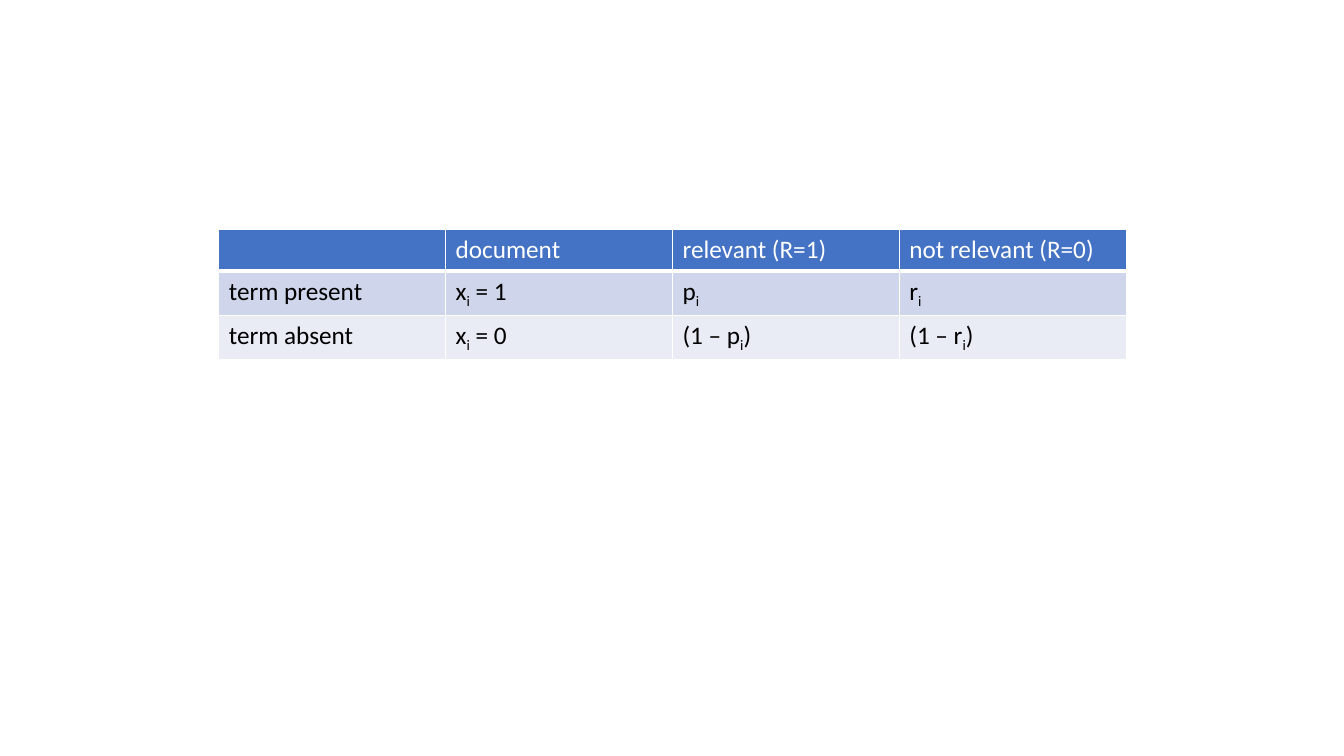
from lxml.etree import SubElement
from pptx import Presentation
from pptx.dml.color import RGBColor
from pptx.oxml.ns import qn
from pptx.util import Inches, Pt

COLORS = {
    "header": "4472C4",
    "odd_row": "CFD5EA",
    "even_row": "E9EBF5",
    "border": "FFFFFF",
    "header_text": "FFFFFF",
    "body_text": "000000",
}

# Text between a pair of underscores is a subscript.
TERM_ROWS = [
    ["", "document", "relevant (R=1)", "not relevant (R=0)"],
    ["term present", "x_i_ = 1", "p_i_", "r_i_"],
    ["term absent", "x_i_ = 0", "(1 – p_i_)", "(1 – r_i_)"],
]


def write_text(paragraph, text, font="Calibri", size=18, color="body_text"):
    """Write text, lowering the parts enclosed in underscores."""
    for index, part in enumerate(text.split("_")):
        if not part:
            continue
        run = paragraph.add_run()
        run.text = part
        run.font.name = font
        run.font.size = Pt(size)
        run.font.bold = False
        run.font.color.rgb = RGBColor.from_string(COLORS[color])
        if index % 2:
            run.font._element.set("baseline", "-25000")


class SlideBuilder:
    def __init__(self, slide):
        self.slide = slide

    def add_table(self, rows, left, top, column_width, row_height):
        column_count = len(rows[0])
        frame = self.slide.shapes.add_table(
            len(rows), column_count, Inches(left), Inches(top),
            Inches(column_width * column_count), Inches(row_height * len(rows)))
        table = frame.table
        for column in table.columns:
            column.width = Inches(column_width)
        for row_index, texts in enumerate(rows):
            table.rows[row_index].height = Inches(row_height)
            for column_index, text in enumerate(texts):
                cell = table.cell(row_index, column_index)
                self.format_cell(cell, row_index)
                color = "body_text" if row_index else "header_text"
                write_text(cell.text_frame.paragraphs[0], text, color=color)

    def format_cell(self, cell, row_index):
        """Set borders and fill, with a thick line below the header."""
        top_width = 3 if row_index == 1 else 1
        bottom_width = 3 if row_index == 0 else 1
        self.add_borders(cell, L=1, R=1, T=top_width, B=bottom_width)
        band = "odd_row" if row_index % 2 else "even_row"
        fill_name = band if row_index else "header"
        cell.fill.solid()
        cell.fill.fore_color.rgb = RGBColor.from_string(COLORS[fill_name])

    def add_borders(self, cell, **widths):
        properties = cell._tc.get_or_add_tcPr()
        for side, width in widths.items():
            line = SubElement(properties, qn(f"a:ln{side}"), w=str(Pt(width)))
            fill = SubElement(line, qn("a:solidFill"))
            SubElement(fill, qn("a:srgbClr"), val=COLORS["border"])


def main():
    presentation = Presentation()
    presentation.slide_width = Inches(13.33)
    presentation.slide_height = Inches(7.5)
    blank_layout = presentation.slide_layouts[6]
    builder = SlideBuilder(presentation.slides.add_slide(blank_layout))
    builder.add_table(TERM_ROWS, left=2.17, top=2.28, column_width=2.25, row_height=0.41)
    presentation.save("out.pptx")


if __name__ == "__main__":
    main()
